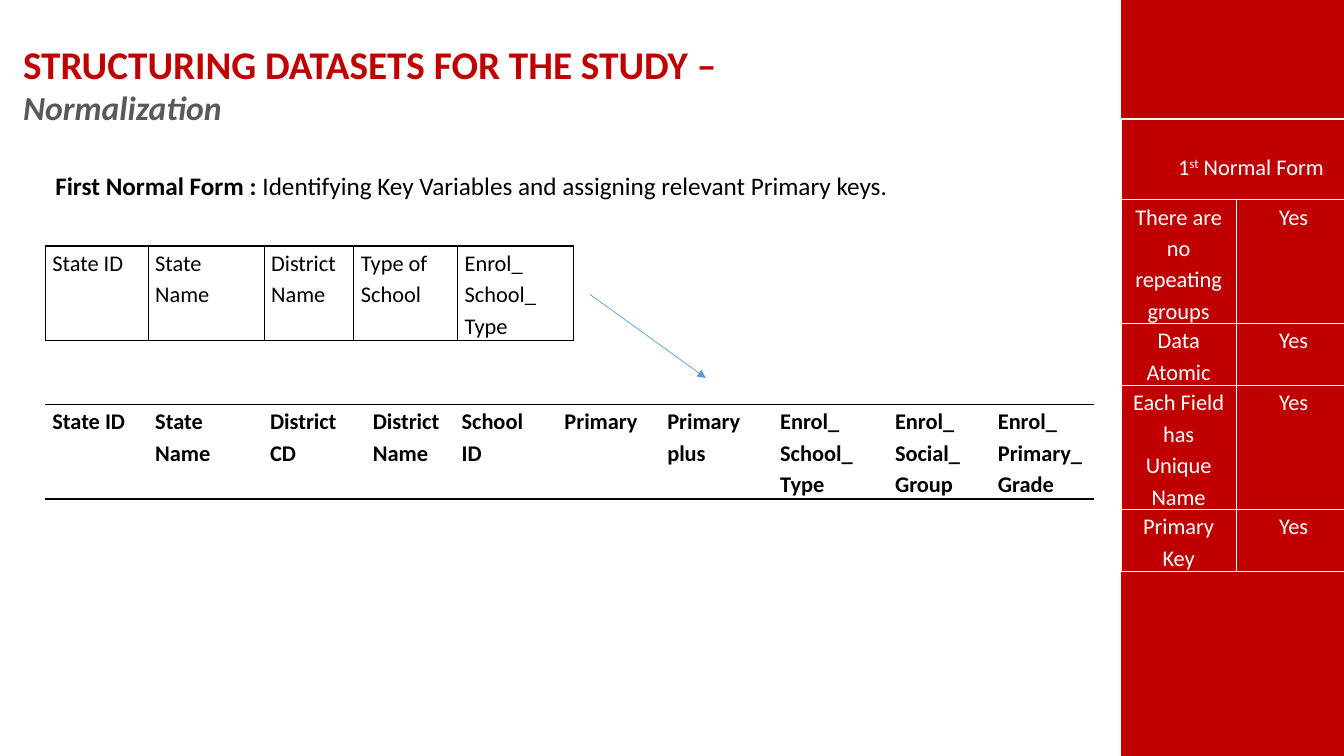
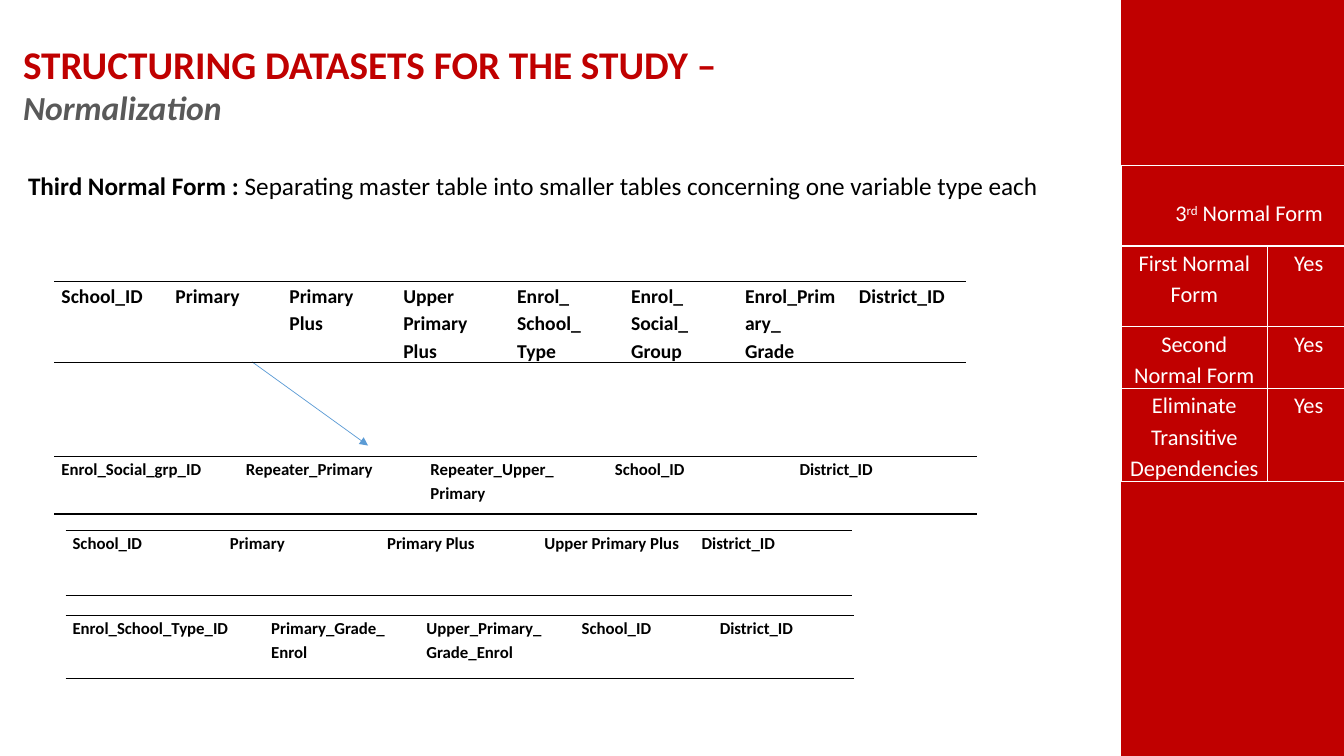
import lxml.etree
import pptx
import pptx.dml.color
import pptx.enum.shapes
import pptx.enum.text
import pptx.oxml.ns
import pptx.util

Inches = pptx.util.Inches
Pt = pptx.util.Pt
RGBColor = pptx.dml.color.RGBColor
Align = pptx.enum.text.PP_ALIGN
qn = pptx.oxml.ns.qn

RED = RGBColor(0xC0, 0x00, 0x00)
GREY = RGBColor(0x59, 0x59, 0x59)
BLACK = RGBColor(0x00, 0x00, 0x00)
WHITE = RGBColor(0xFF, 0xFF, 0xFF)
BLUE = RGBColor(0x5B, 0x9B, 0xD5)
FONT = "Calibri"
SLIDE_W, SLIDE_H = 13.33, 7.5
BAND_X = 11.12
ALL_SIDES = "LRTB"


def add_text(paragraph, text, size=16, color=BLACK, bold=False, italic=False, raised=False):
    run = paragraph.add_run()
    run.text = text
    font = run.font
    font.name, font.size, font.bold, font.italic = FONT, Pt(size), bold, italic
    font.color.rgb = color
    if raised:
        run._r.get_or_add_rPr().set("baseline", "30000")


def add_text_box(slide, left, top, width, height):
    frame = slide.shapes.add_textbox(
        Inches(left), Inches(top), Inches(width), Inches(height)).text_frame
    frame.word_wrap = True
    return frame.paragraphs[0]


def set_borders(cell, sides, color):
    properties = cell._tc.get_or_add_tcPr()
    for position, side in enumerate(ALL_SIDES):
        border = lxml.etree.Element(qn("a:ln" + side), w=str(Pt(1)))
        if side in sides:
            fill = lxml.etree.SubElement(border, qn("a:solidFill"))
            lxml.etree.SubElement(fill, qn("a:srgbClr"), val=str(color))
        else:
            lxml.etree.SubElement(border, qn("a:noFill"))
        properties.insert(position, border)


def add_grid(slide, left, top, widths, heights, sides=ALL_SIDES, color=BLACK):
    grid = slide.shapes.add_table(
        len(heights), len(widths), Inches(left), Inches(top),
        Inches(sum(widths)), Inches(sum(heights))).table
    grid.first_row = grid.horz_banding = False
    for column, width in zip(grid.columns, widths):
        column.width = Inches(width)
    for row, height in zip(grid.rows, heights):
        row.height = Inches(height)
    for cell in grid.iter_cells():
        cell.margin_left = cell.margin_right = Inches(0.07)
        cell.margin_top = cell.margin_bottom = 0
        cell.fill.background()
        set_borders(cell, sides, color)
    return grid


def fill_cell(cell, text, align=Align.LEFT, **text_format):
    for index, line in enumerate(text.split("\n")):
        frame = cell.text_frame
        paragraph = frame.add_paragraph() if index else frame.paragraphs[0]
        paragraph.line_spacing = 1.15
        paragraph.alignment = align
        add_text(paragraph, line, **text_format)


def add_fields(slide, left, top, widths, height, fields, size=16, bold=True, sides="TB"):
    grid = add_grid(slide, left, top, widths, [height], sides)
    for cell, field in zip(grid.iter_cells(), fields):
        fill_cell(cell, field, size=size, bold=bold)


def add_checklist(slide, top, widths, heights, number, ordinal, criteria):
    grid = add_grid(slide, BAND_X, top, widths, heights, color=WHITE)
    heading = grid.cell(0, 0)
    heading.merge(grid.cell(0, 1))
    heading.margin_top, heading.margin_right = Inches(0.31), Inches(0.27)
    paragraph = heading.text_frame.paragraphs[0]
    paragraph.alignment = Align.RIGHT
    paragraph.line_spacing = 1.15
    add_text(paragraph, number, color=WHITE)
    add_text(paragraph, ordinal, color=WHITE, raised=True)
    add_text(paragraph, " Normal Form", color=WHITE)
    for row, criterion in enumerate(criteria, 1):
        for column, text in enumerate((criterion, "Yes")):
            fill_cell(grid.cell(row, column), text, Align.CENTER, color=WHITE)


def add_arrow(slide, left, top, width=1.15, height=0.83):
    arrow = slide.shapes.add_connector(
        pptx.enum.shapes.MSO_CONNECTOR.STRAIGHT, Inches(left), Inches(top),
        Inches(left + width), Inches(top + height))
    arrow.line.color.rgb = BLUE
    arrow.line.width = Pt(0.5)
    lxml.etree.SubElement(arrow.line._get_or_add_ln(), qn("a:tailEnd"), type="triangle")
    lxml.etree.SubElement(arrow._element.spPr, qn("a:effectLst"))


def add_base_slide(deck, lead_left, lead, explanation):
    slide = deck.slides.add_slide(deck.slide_layouts[6])
    band = slide.shapes.add_shape(
        pptx.enum.shapes.MSO_SHAPE.RECTANGLE, Inches(BAND_X), 0,
        Inches(SLIDE_W - BAND_X), Inches(SLIDE_H))
    band.shadow.inherit = False
    band.fill.solid()
    band.fill.fore_color.rgb = RED
    band.line.fill.background()
    title = add_text_box(slide, 0.13, 0.35, 9.88, 0.98)
    add_text(title, "STRUCTURING DATASETS FOR THE STUDY –", size=28, color=RED, bold=True)
    title.add_line_break()
    add_text(title, "Normalization", size=24, color=GREY, bold=True, italic=True)
    definition = add_text_box(slide, lead_left, 1.64, 10.73, 0.71)
    add_text(definition, lead, size=18, bold=True)
    add_text(definition, explanation, size=18)
    return slide


def build_first_form(deck):
    slide = add_base_slide(
        deck, 0.45, "First Normal Form : ",
        "Identifying Key Variables and assigning relevant Primary keys.")
    add_fields(
        slide, 0.45, 2.44, [1.02, 1.15, 0.89, 1.03, 1.15], 0.94,
        ["State ID", "State Name", "District\nName", "Type of School",
         "Enrol_\nSchool_\nType"], bold=False, sides=ALL_SIDES)
    add_fields(
        slide, 0.45, 4.01,
        [1.02, 1.14, 1.02, 0.88, 1.02, 1.02, 1.12, 1.14, 1.02, 1.02], 0.94,
        ["State ID", "State Name", "District\nCD", "District\nName", "School\nID",
         "Primary", "Primary\nplus", "Enrol_\nSchool_\nType",
         "Enrol_\nSocial_\nGroup", "Enrol_\nPrimary_\nGrade"])
    add_arrow(slide, 5.85, 2.92)
    add_checklist(
        slide, 1.18, [1.14, 1.14], [0.8, 1.23, 0.61, 1.23, 0.61], "1", "st",
        ["There are no repeating groups", "Data Atomic",
         "Each Field has Unique Name", "Primary Key"])


def build_third_form(deck):
    slide = add_base_slide(
        deck, 0.18, "Third Normal Form : ",
        "Separating master table into smaller tables concerning one variable type each")
    add_arrow(slide, 2.5, 3.59)
    add_checklist(
        slide, 1.64, [1.45, 0.82], [0.8, 0.8, 0.61, 0.92], "3", "rd",
        ["First Normal Form", "Second Normal Form", "Eliminate Transitive Dependencies"])
    add_fields(
        slide, 0.54, 2.79, [1.13] * 8, 0.81,
        ["School_ID", "Primary", "Primary Plus", "Upper Primary Plus",
         "Enrol_\nSchool_\nType", "Enrol_\nSocial_\nGroup", "Enrol_Primary_\nGrade",
         "District_ID"], size=14)
    smaller_tables = [
        (0.54, 4.53, [1.83] * 5, 0.57,
         ["Enrol_Social_grp_ID", "Repeater_Primary", "Repeater_Upper_\nPrimary",
          "School_ID", "District_ID"]),
        (0.65, 5.26, [1.56] * 5, 0.65,
         ["School_ID", "Primary", "Primary Plus", "Upper Primary Plus", "District_ID"]),
        (0.65, 6.11, [1.97, 1.54, 1.54, 1.37, 1.4], 0.62,
         ["Enrol_School_Type_ID", "Primary_Grade_\nEnrol",
          "Upper_Primary_\nGrade_Enrol", "School_ID", "District_ID"]),
    ]
    for smaller_table in smaller_tables:
        add_fields(slide, *smaller_table, size=12)


def main():
    deck = pptx.Presentation()
    deck.slide_width, deck.slide_height = Inches(SLIDE_W), Inches(SLIDE_H)
    build_first_form(deck)
    build_third_form(deck)
    deck.save("out.pptx")


if __name__ == "__main__":
    main()
